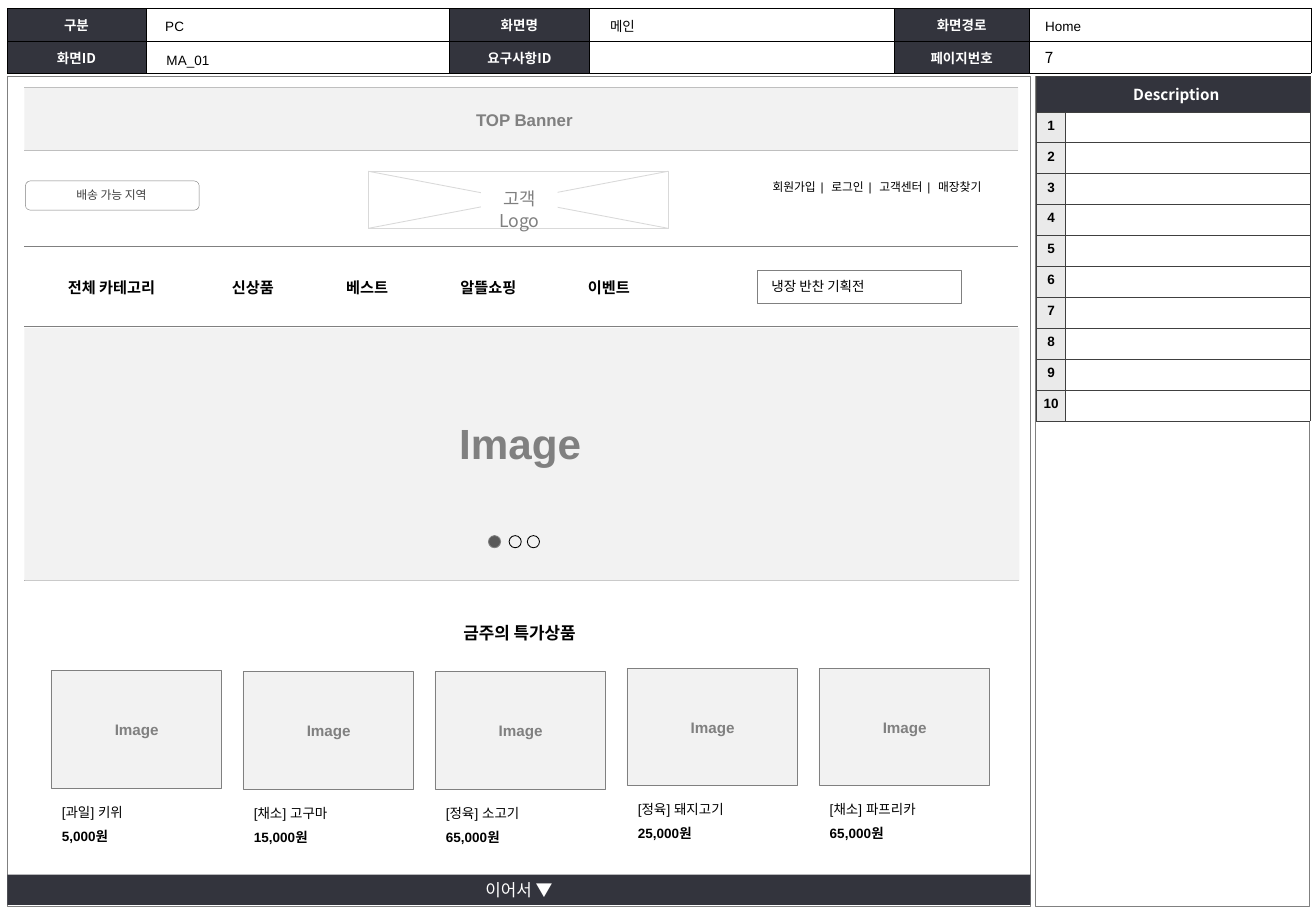
from pptx import Presentation, util as u
from pptx.dml import color
from pptx.enum import shapes, text
from pptx.oxml import ns
from lxml import etree

DARK, GREY, PALE, WHITE, BLACK = "33343D", "808080", "F2F2F2", "FFFFFF", "000000"
NOTO = "Noto Sans CJK KR"
LEFT, MID = text.PP_ALIGN.LEFT, text.PP_ALIGN.CENTER
TOP, CENTER, BOTTOM = text.MSO_ANCHOR.TOP, text.MSO_ANCHOR.MIDDLE, text.MSO_ANCHOR.BOTTOM
KIND = shapes.MSO_SHAPE
PAD = (0.1, 0.05, 0.1, 0.05)


def rgb(code):
    return color.RGBColor.from_string(code)


def paint(fill, code):
    if code:
        fill.solid()
        fill.fore_color.rgb = rgb(code)
    else:
        fill.background()


def style(para, size, tone=BLACK, bold=False, face="Arial", align=LEFT, space=None):
    para.alignment = align
    para.line_spacing = space
    font = para.font
    font.size, font.bold, font.name = u.Pt(size), bold, face
    font.color.rgb = rgb(tone)


def write(frame, words, size, pad=PAD, anchor=TOP, **look):
    frame.word_wrap = True
    frame.auto_size = text.MSO_AUTO_SIZE.NONE
    frame.vertical_anchor = anchor
    (frame.margin_left, frame.margin_top,
     frame.margin_right, frame.margin_bottom) = map(u.Inches, pad)
    frame.text = words
    for para in frame.paragraphs:
        style(para, size, **look)


def label(slide, at, words, size, **look):
    box = slide.shapes.add_textbox(*map(u.Inches, at))
    write(box.text_frame, words, size, **look)
    return box


def block(slide, at, fill=None, line=None, width=0.5, kind=KIND.RECTANGLE):
    shape = slide.shapes.add_shape(kind, *map(u.Inches, at))
    shape.shadow.inherit = False
    paint(shape.fill, fill)
    paint(shape.line.fill, line)
    if line:
        shape.line.width = u.Pt(width)
    return shape


def rule(slide, ends, tone, width=0.75):
    line = slide.shapes.add_connector(shapes.MSO_CONNECTOR.STRAIGHT, *map(u.Inches, ends))
    line.line.color.rgb = rgb(tone)
    line.line.width = u.Pt(width)
    etree.SubElement(line._element.spPr, ns.qn("a:effectLst"))


def field(shape, at, words):
    """Fill a template placeholder as a plain one-line value."""
    shape.left, shape.top, shape.width, shape.height = map(u.Inches, at)
    write(shape.text_frame, words, 8, pad=(0.1, 0, 0.1, 0), anchor=BOTTOM)
    para = shape.text_frame.paragraphs[0]
    para.space_before = u.Pt(0)
    props = para._p.get_or_add_pPr()
    props.set("marL", "0")
    props.set("indent", "0")
    props.insert_element_before(etree.Element(ns.qn("a:buNone")), "a:tabLst", "a:defRPr")


def grid(slide, at, cols, rows):
    size = (len(rows), len(cols))
    table = slide.shapes.add_table(*size, *map(u.Inches, at)).table
    table.first_row = table.horz_banding = False
    for col, width in zip(table.columns, cols):
        col.width = u.Inches(width)
    for row, height in zip(table.rows, rows):
        row.height = u.Inches(height)
    return table


def fill_cell(cell, words, fill, edge, pad, size=8, anchor=CENTER, **look):
    (cell.margin_left, cell.margin_top,
     cell.margin_right, cell.margin_bottom) = map(u.Inches, pad)
    cell.vertical_anchor = anchor
    cell.text = words
    style(cell.text_frame.paragraphs[0], size, align=MID, **look)
    props = cell._tc.get_or_add_tcPr()
    for side in ("lnL", "lnR", "lnT", "lnB"):
        line = etree.SubElement(props, ns.qn("a:" + side), w=str(u.Pt(0.25)))
        solid = etree.SubElement(line, ns.qn("a:solidFill"))
        etree.SubElement(solid, ns.qn("a:srgbClr"), val=edge)
    paint(cell.fill, fill)


def add_info(slide):
    """Header table with the screen's details."""
    names = (("구분", "화면명", "화면경로"), ("화면ID", "요구사항ID", "페이지번호"))
    table = grid(slide, (0.06, 0.07, 10.73, 0.53),
                 (1.14, 2.5, 1.15, 2.51, 1.11, 2.32), (0.27, 0.26))
    pad = (0.06, 0.05, 0.06, 0.05)
    for r, row in enumerate(names):
        for c, name in enumerate(row):
            fill_cell(table.cell(r, 2 * c), name, DARK, BLACK, pad,
                      tone=WHITE, bold=True, face=NOTO)
            fill_cell(table.cell(r, 2 * c + 1), "", WHITE, BLACK, pad)
    label(slide, (8.5, 0.35, 0.93, 0.25), "7", 9, face=NOTO)
    title, first, second, third, spare = slide.placeholders
    field(title, (1.26, 0.1, 2.38, 0.18), "PC")
    field(first, (8.5, 0.12, 2.25, 0.16), "Home")
    field(second, (1.27, 0.39, 2.38, 0.17), "MA_01")
    field(third, (4.92, 0.11, 2.38, 0.17), "메인")
    spare._element.getparent().remove(spare._element)
    tree = slide.shapes._spTree
    for shape in (first, second, third, title):
        tree.append(shape._element)


def add_notes(slide):
    """Numbered description table."""
    table = grid(slide, (8.53, 0.63, 2.25, 2.84), (0.24, 2.01), [0.29] + [0.255] * 10)
    pad = (0.04, 0.05, 0.04, 0.05)
    for c, words in enumerate(("Description", "")):
        fill_cell(table.cell(0, c), words, DARK, "404040", (0.07, 0.02, 0.02, 0.02),
                  size=9, tone=WHITE, bold=True, face=NOTO)
    table.cell(0, 0).merge(table.cell(0, 1))
    for r in range(1, 11):
        fill_cell(table.cell(r, 0), str(r), "EAEAEA", "404040", pad, anchor=TOP, bold=True)
        fill_cell(table.cell(r, 1), "", WHITE, "404040", pad)


def add_links(slide):
    box = label(slide, (6.26, 1.43, 2.16, 0.22), "", 7)
    para = box.text_frame.paragraphs[0]
    for i, name in enumerate(("회원가입", "로그인", "고객센터", "매장찾기")):
        if i:
            bar = para.add_run()
            bar.text = " | "
            bar._r.get_or_add_rPr().set("spc", "130")
        para.add_run().text = name


def add_top(slide):
    block(slide, (0.2, 0.72, 8.18, 0.52), PALE)
    for y, tone in ((0.72, "BFBFBF"), (1.24, "BFBFBF"), (2.03, GREY), (2.69, GREY)):
        rule(slide, (0.2, y, 8.38, y), tone)
    label(slide, (3.13, 0.85, 2.37, 0.27), "TOP Banner", 10, tone=GREY, bold=True, align=MID)
    block(slide, (0.21, 1.49, 1.43, 0.24), None, GREY, 0.25, KIND.ROUNDED_RECTANGLE)
    label(slide, (0.53, 1.5, 0.97, 0.22), "배송 가능 지역", 7, tone="404040")
    menu = ((0.46, "전체 카테고리"), (1.81, "신상품"), (2.75, "베스트"),
            (3.69, "알뜰쇼핑"), (4.74, "이벤트"))
    for x, name in menu:
        label(slide, (x, 2.24, 1, 0.25), name, 9, bold=True)
    add_links(slide)
    block(slide, (6.23, 2.23, 1.68, 0.27), WHITE, GREY)
    label(slide, (6.25, 2.24, 1.07, 0.24), "냉장 반찬 기획전", 8)
    block(slide, (3.03, 1.41, 2.47, 0.47), WHITE, "D9D9D9")
    rule(slide, (3.03, 1.88, 5.5, 1.41), "D9D9D9", 0.5)
    rule(slide, (5.5, 1.88, 3.03, 1.41), "D9D9D9", 0.5)
    logo = block(slide, (3.96, 1.55, 0.63, 0.18), WHITE)
    write(logo.text_frame, "고객Logo", 10.5, pad=(0.02, 0, 0.02, 0),
          tone="7F7F7F", face=NOTO, align=MID)


def add_hero(slide):
    rule(slide, (0.2, 4.78, 8.39, 4.78), GREY)
    block(slide, (0.2, 2.7, 8.19, 2.08), PALE)
    label(slide, (3.42, 3.39, 1.72, 0.52), "Image", 25, tone=GREY, bold=True, align=MID)
    for x, fill, line in ((4.34, None, BLACK), (4.19, None, BLACK), (4.02, "595959", GREY)):
        block(slide, (x, 4.41, 0.1, 0.1), fill, line, kind=KIND.OVAL)


def add_goods(slide):
    label(slide, (2.84, 4.99, 2.87, 0.32), "금주의 특가상품", 10, bold=True, align=MID, space=1.5)
    goods = (("[과일] 키위", "5,000원", 5.52), ("[채소] 고구마", "15,000원", 5.53),
             ("[정육] 소고기", "65,000원", 5.53), ("[정육] 돼지고기", "25,000원", 5.5),
             ("[채소] 파프리카", "65,000원", 5.5))
    for i, (name, price, y) in enumerate(goods):
        x = 0.42 + 1.58 * i
        block(slide, (x, y, 1.4, 0.97), PALE, GREY)
        label(slide, (x + 0.4, y + 0.37, 0.61, 0.23), "Image", 9, pad=(0, 0.04, 0, 0.04),
              anchor=CENTER, tone=GREY, bold=True, align=MID)
        box = label(slide, (x - 0.01, y + 0.98, 1.41, 0.48), f"{name}\n{price}", 8, space=1.5)
        box.text_frame.paragraphs[1].font.bold = True


def main():
    deck = Presentation()
    deck.slide_width, deck.slide_height = u.Inches(10.83), u.Inches(7.5)
    slide = deck.slides.add_slide(deck.slide_layouts[4])
    block(slide, (0.06, 0.63, 8.42, 6.83), None, GREY)
    block(slide, (8.52, 0.63, 2.26, 6.83), WHITE, GREY)
    add_info(slide)
    add_top(slide)
    add_notes(slide)
    add_hero(slide)
    add_goods(slide)
    more = block(slide, (0.06, 7.2, 8.42, 0.25), DARK)
    write(more.text_frame, "이어서 ▼", 10, pad=(0, 0, 0, 0), anchor=CENTER,
          tone=WHITE, face=NOTO, align=MID)
    deck.save("out.pptx")


if __name__ == "__main__":
    main()
